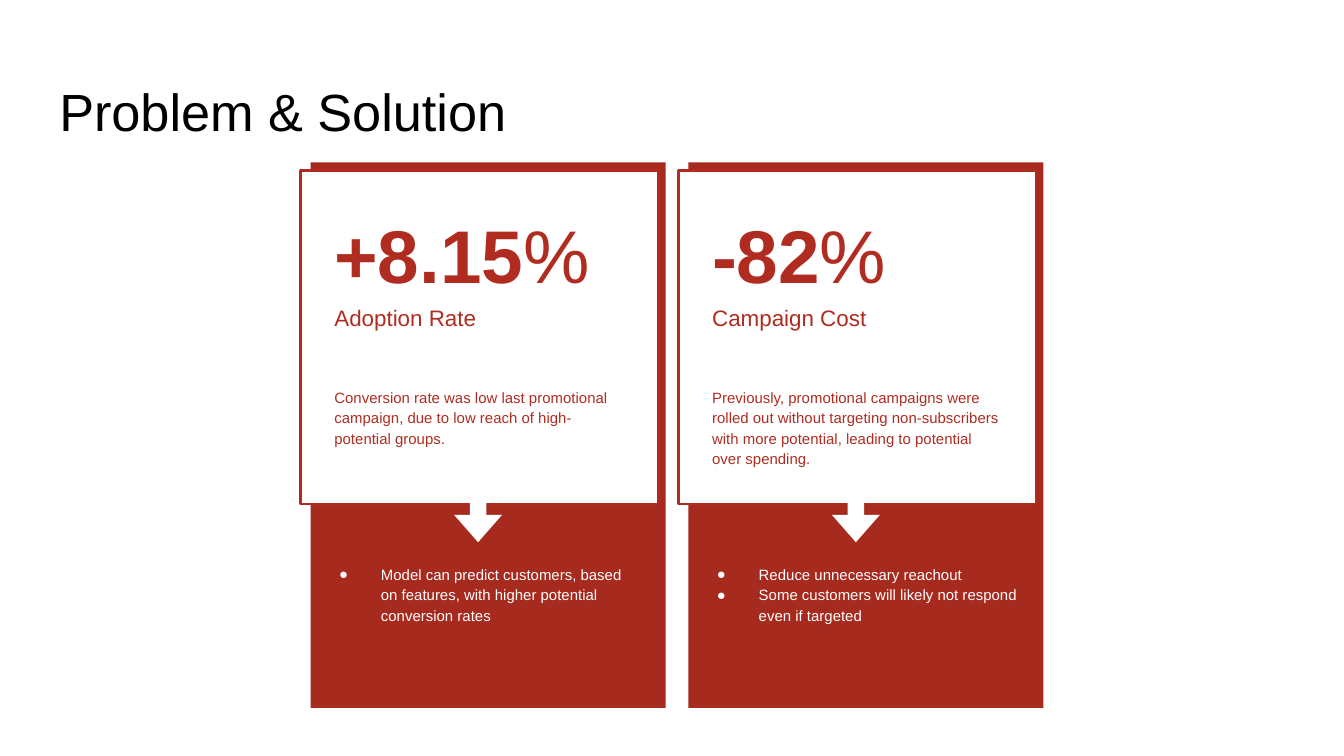
from pptx import Presentation
from pptx import util as u
from pptx.dml.color import RGBColor
from pptx.enum import shapes, text
from lxml import etree

RED, DARK, WHITE = "B02C20", "A72A1E", "FFFFFF"
TITLE = "Problem & Solution"
CARDS = [
    dict(column=1, number="-82", label="Campaign Cost",
         problem="Previously, promotional campaigns were rolled out without targeting "
                 "non-subscribers with more potential, leading to potential over spending.",
         solution=["Reduce unnecessary reachout",
                   "Some customers will likely not respond even if targeted"]),
    dict(column=0, number="+8.15", label="Adoption Rate",
         problem="Conversion rate was low last promotional campaign, due to low reach "
                 "of high-potential groups.",
         solution=["Model can predict customers, based on features, with higher "
                   "potential conversion rates"]),
]
LEFT, STEP = 5.68, 7.14
INSET = 0.25


def rgb(value):
    return RGBColor.from_string(value)


def cm(*values):
    return [u.Cm(v) for v in values]


def style_frame(tf, top=INSET):
    tf.word_wrap = True
    tf.auto_size = text.MSO_AUTO_SIZE.NONE
    tf.vertical_anchor = text.MSO_ANCHOR.TOP
    tf.margin_left = tf.margin_right = tf.margin_bottom = u.Cm(INSET)
    tf.margin_top = u.Cm(top)


def style_run(r, size, color, bold=False):
    r.font.name, r.font.size, r.font.bold = "Arial", u.Pt(size), bold
    r.font.color.rgb = rgb(color)


def add_shape(group, kind, box, fill, line=None):
    sp = group.shapes.add_shape(kind, *cm(*box))
    sp.shadow.inherit = False
    sp.fill.solid()
    sp.fill.fore_color.rgb = rgb(fill)
    if line:
        sp.line.color.rgb = rgb(line)
        sp.line.width = u.Pt(1.5)
    else:
        sp.line.fill.background()
    return sp


def add_text(group, box, lines, size, color, spacing=None, top=INSET):
    tf = group.shapes.add_textbox(*cm(*box)).text_frame
    style_frame(tf, top)
    tf.text = "\n".join(lines)
    for p in tf.paragraphs:
        p.line_spacing = spacing
        style_run(p.runs[0], size, color)
    return tf


def add_bullet(p, color):
    pPr = p._p.get_or_add_pPr()
    pPr.set("marL", str(u.Cm(1.27)))
    pPr.set("indent", str(u.Cm(-0.79)))
    ns = "{http://schemas.openxmlformats.org/drawingml/2006/main}"
    clr = etree.SubElement(pPr, ns + "buClr")
    etree.SubElement(clr, ns + "srgbClr", val=color)
    etree.SubElement(pPr, ns + "buFont", typeface="Arial")
    etree.SubElement(pPr, ns + "buChar", char="●")


def add_card(s, card):
    group = s.shapes.add_group_shape()
    x = LEFT + card["column"] * STEP
    tx, tw = x + 0.39, 5.99
    rect = shapes.MSO_SHAPE.RECTANGLE
    add_shape(group, rect, (x + 0.19, 3.07, 6.71, 10.31), DARK)
    add_shape(group, rect, (x, 3.23, 6.76, 6.3), WHITE, RED)
    add_text(group, (tx, 5.46, tw, 1.55), [card["label"]], 12, RED, top=0.29)
    add_text(group, (tx, 7.04, tw, 2.11), [card["problem"]], 8, RED, 1.15)
    tf = add_text(group, (tx, 3.56, tw, 1.7), [card["number"]], 40, RED, top=0.39)
    p = tf.paragraphs[0]
    p.runs[0].font.bold = True
    r = p.add_run()
    r.text = "%"
    style_run(r, 40, RED)
    arrow = add_shape(group, shapes.MSO_SHAPE.RIGHT_ARROW, (x + 2.86, 9.3, 0.99, 0.91), WHITE)
    arrow.rotation = 90
    arrow.adjustments[0], arrow.adjustments[1] = 0.34, 0.57
    tf = add_text(group, (x, 10.39, 6.71, 3), card["solution"], 8, WHITE, 1.15)
    for p in tf.paragraphs:
        add_bullet(p, WHITE)


prs = Presentation()
prs.slide_width, prs.slide_height = cm(25.4, 14.29)
s = prs.slides.add_slide(prs.slide_layouts[5])
title = s.shapes.title
title.left, title.top, title.width, title.height = cm(0.87, 1.14, 23.67, 1.6)
tf = title.text_frame
tf.text = TITLE
style_frame(tf, 0.35)
tf.paragraphs[0].alignment = text.PP_ALIGN.LEFT
style_run(tf.paragraphs[0].runs[0], 28, "000000")
for card in CARDS:
    add_card(s, card)
prs.save("out.pptx")
